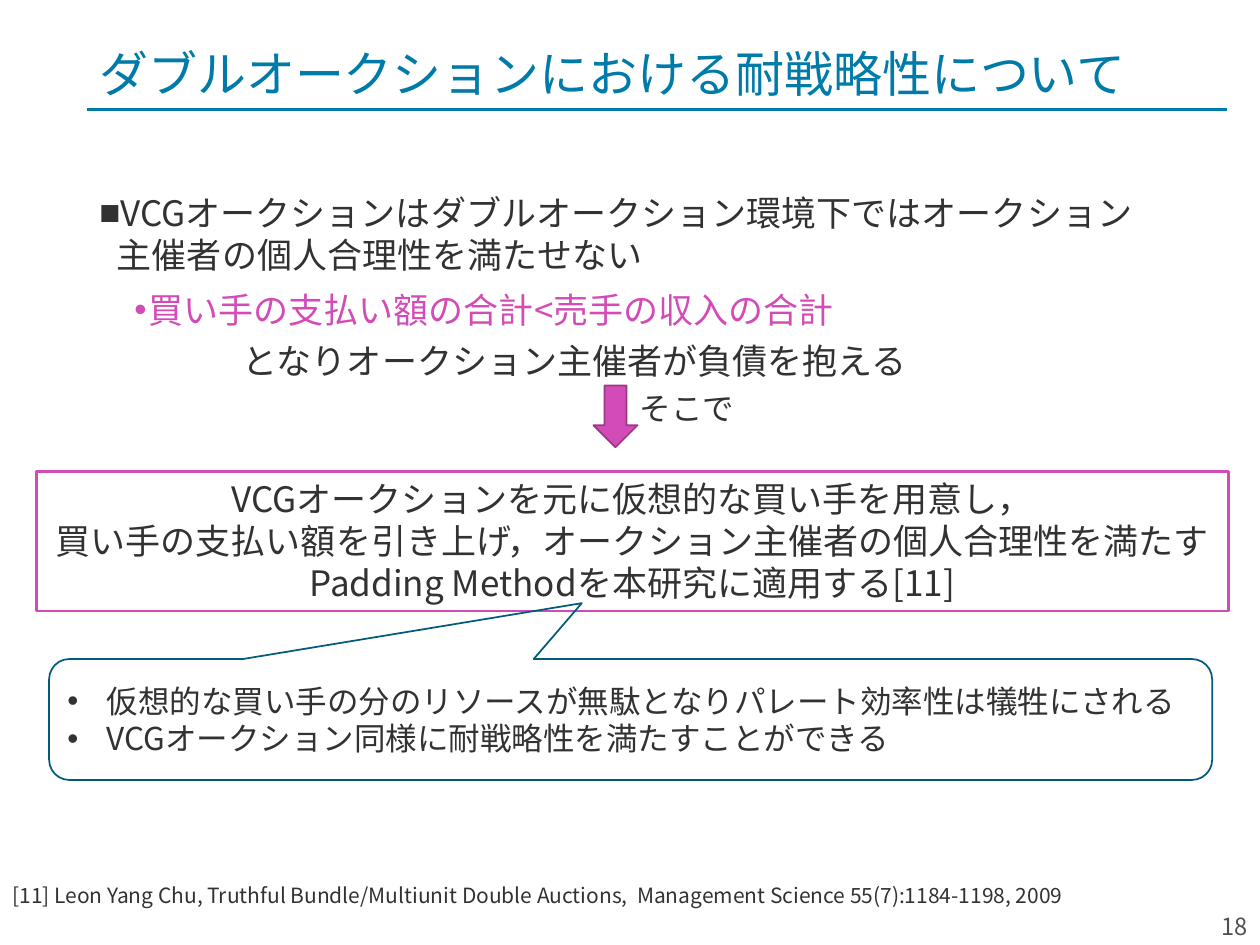
from dataclasses import dataclass
from typing import Optional

from lxml import etree
from pptx import Presentation
from pptx.dml.color import RGBColor
from pptx.enum.shapes import MSO_CONNECTOR, MSO_SHAPE
from pptx.enum.text import MSO_ANCHOR, PP_ALIGN
from pptx.oxml.ns import qn
from pptx.util import Pt

TOP, MIDDLE, BOTTOM = MSO_ANCHOR.TOP, MSO_ANCHOR.MIDDLE, MSO_ANCHOR.BOTTOM
LEFT, CENTER, RIGHT = PP_ALIGN.LEFT, PP_ALIGN.CENTER, PP_ALIGN.RIGHT
BODY_FONT, TITLE_FONT = "Noto Sans CJK JP", "Noto Sans CJK SC"
COLORS = {
    "title": "007BA9",
    "text": "323232",
    "number": "505050",
    "accent": "D34BB6",
    "accent_dark": "9C3787",
    "callout": "005B7D",
}


@dataclass
class Box:
    left: float
    top: float
    width: float
    height: float

    def lengths(self) -> list:
        return [Pt(v) for v in (self.left, self.top, self.width, self.height)]


@dataclass
class Para:
    text: str
    color: str = "text"
    bullet: Optional[str] = None
    margin: float = 0
    hanging: float = 0
    before: float = 0
    spacing: float = 1.0


def rgb(key: str) -> RGBColor:
    return RGBColor.from_string(COLORS[key])


def write(shape, paras: list[Para], *, size: float, font: str = BODY_FONT,
          align=LEFT, anchor=TOP, wrap: bool = True) -> None:
    """Fill a shape with formatted paragraphs."""
    frame = shape.text_frame
    frame.word_wrap = wrap
    frame.vertical_anchor = anchor
    for index, para in enumerate(paras):
        paragraph = frame.paragraphs[0] if index == 0 else frame.add_paragraph()
        paragraph.text = para.text
        paragraph.alignment = align
        paragraph.space_before = Pt(para.before)
        paragraph.line_spacing = para.spacing
        props = paragraph._p.get_or_add_pPr()
        props.set("marL", str(Pt(para.margin)))
        props.set("indent", str(-Pt(para.hanging)))
        if para.bullet:
            bullet_font = etree.SubElement(props, qn("a:buFont"))
            bullet_font.set("typeface", "Arial")
            etree.SubElement(props, qn("a:buChar")).set("char", para.bullet)
        for run in paragraph.runs:
            run.font.size = Pt(size)
            run.font.name = font
            run.font.color.rgb = rgb(para.color)
            east_asian = etree.SubElement(run._r.get_or_add_rPr(), qn("a:ea"))
            east_asian.set("typeface", font)


def add_text(slide, box: Box, paras: list[Para], **text_format) -> None:
    write(slide.shapes.add_textbox(*box.lengths()), paras, **text_format)


def add_outlined(slide, kind, box: Box, line: str, width: float,
                 fill: Optional[str] = None):
    shape = slide.shapes.add_shape(kind, *box.lengths())
    shape.shadow.inherit = False
    if fill:
        shape.fill.solid()
        shape.fill.fore_color.rgb = rgb(fill)
    else:
        shape.fill.background()
    shape.line.color.rgb = rgb(line)
    shape.line.width = Pt(width)
    return shape


def main() -> None:
    prs = Presentation()
    prs.slide_width, prs.slide_height = Pt(720), Pt(540)
    slide = prs.slides.add_slide(prs.slide_layouts[6])

    # Title and its rule
    rule = slide.shapes.add_connector(
        MSO_CONNECTOR.STRAIGHT, Pt(49.7), Pt(62.6), Pt(701.3), Pt(62.6))
    rule.line.color.rgb = rgb("title")
    rule.line.width = Pt(1.5)
    etree.SubElement(rule._element.spPr, qn("a:effectLst"))
    add_text(slide, Box(49.7, 18.7, 620.6, 43.9),
             [Para("ダブルオークションにおける耐戦略性について", "title", spacing=0.9)],
             size=28, font=TITLE_FONT, anchor=BOTTOM)

    # Reference and page number
    add_text(slide, Box(0, 483.1, 706.3, 56.9),
             [Para("[11] Leon Yang Chu, Truthful Bundle/Multiunit Double Auctions, "
                   " Management Science 55(7):1184-1198, 2009")],
             size=12, anchor=MIDDLE)
    add_text(slide, Box(676.1, 518.4, 43.9, 21.6), [Para("18", "number")],
             size=13.5, align=RIGHT, anchor=MIDDLE)

    # Problem statement
    add_text(slide, Box(49.7, 105.8, 670.3, 368.6), [
        Para("VCGオークションはダブルオークション環境下ではオークション\v"
             "主催者の個人合理性を満たせない",
             bullet="■", margin=10, hanging=10, before=5.6),
        Para("買い手の支払い額の合計<売手の収入の合計", "accent",
             bullet="•", margin=28, hanging=8, before=2.8, spacing=1.2),
        Para("となりオークション主催者が負債を抱える", margin=82, spacing=1.2),
    ], size=20)

    # Proposed method
    method = add_outlined(slide, MSO_SHAPE.RECTANGLE,
                          Box(20.9, 269.3, 681.1, 79.9), "accent", 1.5)
    write(method, [
        Para("VCGオークションを元に仮想的な買い手を用意し，"),
        Para("買い手の支払い額を引き上げ，オークション主催者の個人合理性を満たす"),
        Para("Padding Methodを本研究に適用する[11]"),
    ], size=20, align=CENTER, wrap=False)

    # Callout with the method's properties
    callout = add_outlined(slide, MSO_SHAPE.ROUNDED_RECTANGULAR_CALLOUT,
                           Box(28.1, 376.6, 664.6, 69.1), "callout", 1)
    for index, value in enumerate((-0.042, -0.962, 0.167)):
        callout.adjustments[index] = value
    properties = ("仮想的な買い手の分のリソースが無駄となりパレート効率性は犠牲にされる",
                  "VCGオークション同様に耐戦略性を満たすことができる")
    write(callout,
          [Para(text, bullet="•", margin=22.5, hanging=22.5) for text in properties],
          size=18, anchor=MIDDLE)

    # Arrow from problem to method
    add_outlined(slide, MSO_SHAPE.DOWN_ARROW, Box(339.1, 220.3, 25.2, 35.3),
                 "accent_dark", 1, fill="accent")
    add_text(slide, Box(358.6, 218.9, 69.1, 28.8), [Para("そこで")],
             size=18, wrap=False)

    prs.save("out.pptx")


if __name__ == "__main__":
    main()
